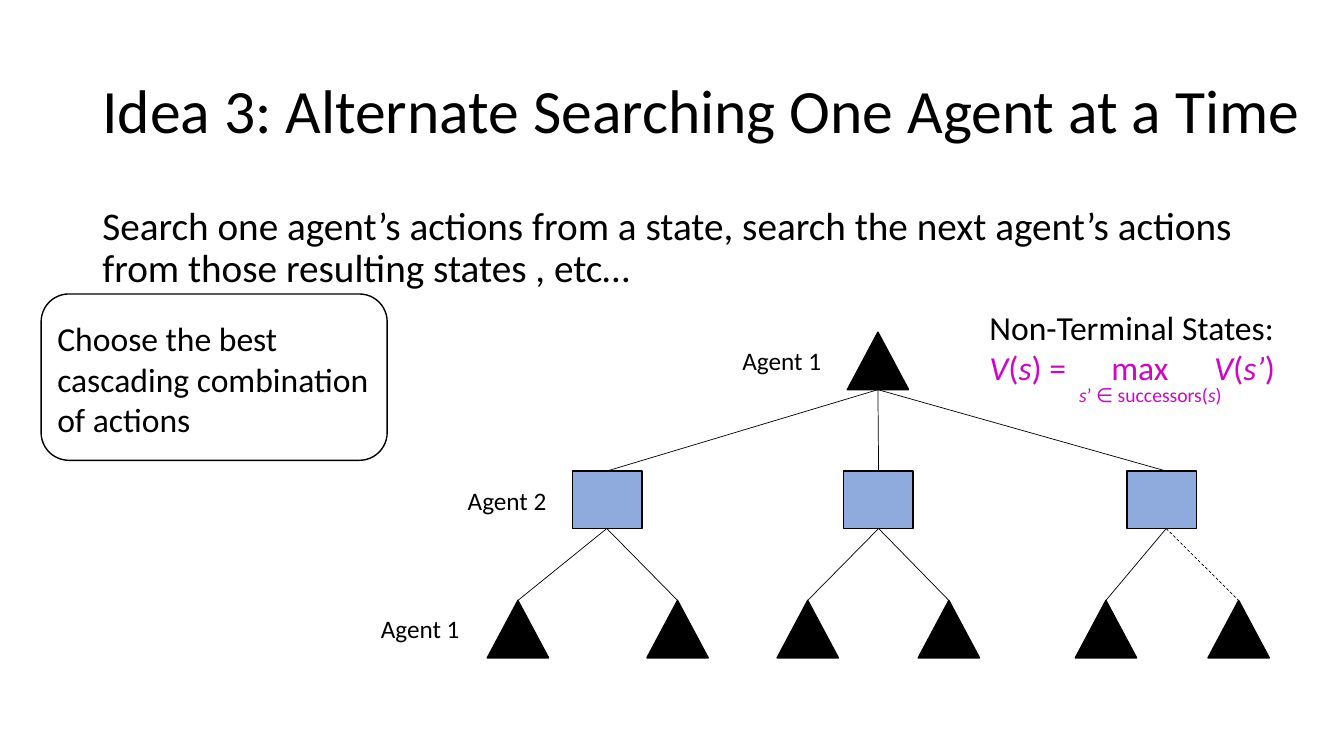
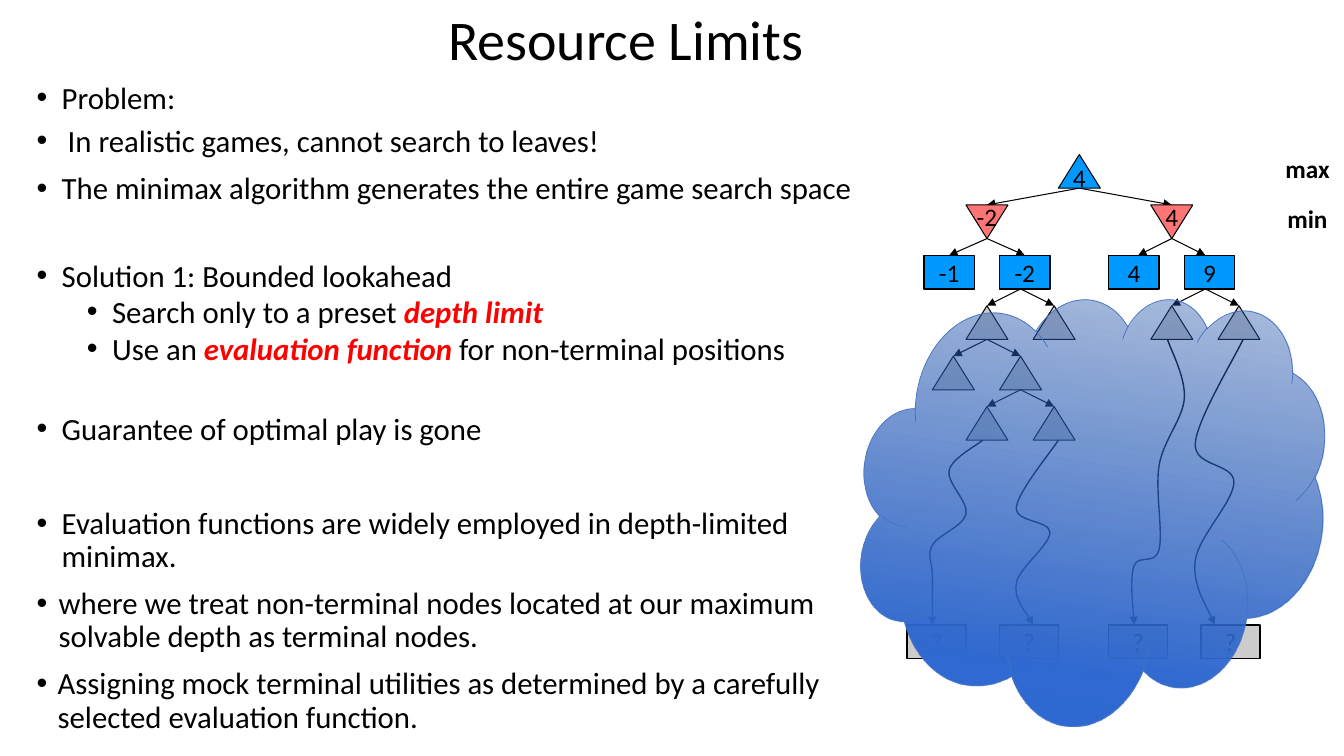
from lxml import etree
from pptx import Presentation
from pptx import util as u
from pptx.dml.color import RGBColor
from pptx.enum import dml, shapes, text
from pptx.oxml import parse_xml
from pptx.oxml.ns import nsdecls, qn

SLIDE_WIDTH, SLIDE_HEIGHT = u.Inches(13.333), u.Inches(7.5)
COLUMNS, ROWS = 160, 90
FONT = "Calibri"
COLORS = {
    "ink": "000000", "formula": "D303CA", "emphasis": "FF0000",
    "agent": "8FAADC", "max": "0099FF", "min": "FF7575", "unknown": "CCCCCC",
    "cloud_line": "4472C4", "cloud_top": "2451A1",
    "cloud_low": "2F69D1", "cloud_base": "2C69D5",
}
SHAPE = shapes.MSO_SHAPE
LEFT, CENTER = text.PP_ALIGN.LEFT, text.PP_ALIGN.CENTER
TOP, MIDDLE = text.MSO_ANCHOR.TOP, text.MSO_ANCHOR.MIDDLE


def across(columns):
    return u.Emu(int(SLIDE_WIDTH * columns / COLUMNS))


def down(rows):
    return u.Emu(int(SLIDE_HEIGHT * rows / ROWS))


def place(left, top, width, height):
    return across(left), down(top), across(width), down(height)


def rgb(name):
    return RGBColor.from_string(COLORS[name])


def set_frame(shape, anchor=TOP, wrap=True, insets=(0.1, 0.05, 0.1, 0.05)):
    frame = shape.text_frame
    frame.word_wrap, frame.vertical_anchor = wrap, anchor
    (frame.margin_left, frame.margin_top,
     frame.margin_right, frame.margin_bottom) = map(u.Inches, insets)
    return frame


def write(paragraph, words, size, color="ink", align=LEFT, spacing=None,
          bold=False, emphasis=None):
    for index, part in enumerate(words.split("*")):
        if not part:
            continue
        run = paragraph.add_run()
        run.text = part
        if index % 2:
            run.font.italic = True
            if emphasis:
                run.font.bold = True
                run.font.color.rgb = rgb(emphasis)
    paragraph.alignment = align
    if spacing:
        paragraph.line_spacing = spacing
    font = paragraph.font
    font.name, font.size, font.bold = FONT, u.Pt(size), bold
    font.color.rgb = rgb(color)


def add_text(slide, box, words, size, anchor=TOP, wrap=True, **style):
    shape = slide.shapes.add_textbox(*place(*box))
    frame = set_frame(shape, anchor, wrap)
    write(frame.paragraphs[0], words, size, **style)
    return frame


def add_title(slide, box, words, size, align=LEFT):
    add_text(slide, box, words, size, anchor=MIDDLE, align=align, spacing=0.9)


def add_tabs(paragraph, *stops):
    tabs = etree.SubElement(paragraph._p.get_or_add_pPr(), qn("a:tabLst"))
    for stop in stops:
        etree.SubElement(tabs, qn("a:tab"), pos=str(u.Inches(stop)), algn="l")


def add_bullet(paragraph, level, hang):
    properties = paragraph._p.get_or_add_pPr()
    properties.set("marL", str(u.Inches(level * 0.5 + hang)))
    properties.set("indent", str(-u.Inches(hang)))
    etree.SubElement(properties, qn("a:buFont"), typeface="Arial")
    etree.SubElement(properties, qn("a:buChar"), char="•")
    paragraph.level = level


def add_figure(slide, kind, box, fill=None, line="ink", weight=1.0):
    shape = slide.shapes.add_shape(kind, *place(*box))
    shape.shadow.inherit = False
    if fill:
        shape.fill.solid()
        shape.fill.fore_color.rgb = rgb(fill)
    else:
        shape.fill.background()
    shape.line.color.rgb = rgb(line)
    shape.line.width = u.Pt(weight)
    return shape


def add_node(slide, kind, center, top, size, fill, label=None, weight=1.0, drop=0):
    width, height = size
    shape = add_figure(slide, kind, (center - width / 2, top, width, height), fill, weight=weight)
    if label:
        frame = set_frame(shape, MIDDLE, False, (0, max(drop, 0), 0, max(-drop, 0)))
        write(frame.paragraphs[0], label, 18, align=CENTER)


def add_arrowhead(shape):
    etree.SubElement(shape.line._get_or_add_ln(), qn("a:tailEnd"), type="triangle")


def add_edge(slide, start, end, weight, dashed=False, arrow=False):
    (x1, y1), (x2, y2) = start, end
    edge = slide.shapes.add_connector(
        shapes.MSO_CONNECTOR.STRAIGHT, across(x1), down(y1), across(x2), down(y2))
    etree.SubElement(edge._element.spPr, qn("a:effectLst"))
    edge.line.color.rgb = rgb("ink")
    edge.line.width = u.Pt(weight)
    if dashed:
        edge.line.dash_style = dml.MSO_LINE.DASH
    if arrow:
        add_arrowhead(edge)


def bend_segments(curve):
    geometry = curve._element.spPr
    knots = [(int(point.get("x")), int(point.get("y"))) for point in geometry.iter(qn("a:pt"))]
    padded = [knots[0], *knots, knots[-1]]
    segments = list(geometry.iter(qn("a:lnTo")))
    for segment, before, start, end, after in zip(
            segments, padded, padded[1:], padded[2:], padded[3:]):
        leave = [s + (e - b) / 6 for b, s, e in zip(before, start, end)]
        arrive = [e - (a - s) / 6 for s, e, a in zip(start, end, after)]
        bend = etree.Element(qn("a:cubicBezTo"))
        for x, y in (leave, arrive, end):
            etree.SubElement(bend, qn("a:pt"), x=str(round(x)), y=str(round(y)))
        segment.getparent().replace(segment, bend)


def add_curve(slide, knots):
    points = [(across(x), down(y)) for x, y in knots]
    builder = slide.shapes.build_freeform(*points[0])
    builder.add_line_segments(points[1:], close=False)
    curve = builder.convert_to_shape()
    bend_segments(curve)
    curve.shadow.inherit = False
    curve.fill.background()
    curve.line.color.rgb = rgb("ink")
    curve.line.width = u.Pt(1)
    add_arrowhead(curve)


def add_cloud(slide, box, rotation):
    cloud = add_figure(slide, SHAPE.CLOUD, box, line="cloud_line", weight=0.5)
    cloud.rotation = rotation
    stops = "".join(
        f'<a:gs pos="{position * 1000}"><a:srgbClr val="{COLORS[name]}">'
        f'<a:alpha val="{opacity * 1000}"/></a:srgbClr></a:gs>'
        for position, name, opacity in (
            (0, "cloud_top", 30), (80, "cloud_low", 100), (100, "cloud_base", 100)))
    gradient = parse_xml(
        f'<a:gradFill {nsdecls("a")} rotWithShape="1"><a:gsLst>{stops}</a:gsLst>'
        '<a:lin ang="5400000" scaled="0"/></a:gradFill>')
    properties = cloud._element.spPr
    properties.replace(properties.find(qn("a:noFill")), gradient)


def add_agent_tree(slide):
    triangle, square = (7.3, 6.84), (8.3, 6.84)
    root, root_top, agent_top, leaf_top = 104.52, 39.55, 56.08, 71.48
    branches = [(72.3, 72.24, (61.66, 80.66)), (104.55, 104.6, (96.16, 112.96)),
                (138.3, 138.84, (131.66, 147.46))]
    last_leaf = branches[-1][-1][-1]
    add_node(slide, SHAPE.ISOSCELES_TRIANGLE, root, root_top, triangle, "ink")
    for agent, joint, leaves in branches:
        add_edge(slide, (root, root_top + triangle[1]), (joint, agent_top), 0.5)
        add_node(slide, SHAPE.RECTANGLE, agent, agent_top, square, "agent")
        for leaf in leaves:
            add_edge(slide, (joint, agent_top + square[1]), (leaf, leaf_top), 0.5,
                     dashed=leaf == last_leaf)
            add_node(slide, SHAPE.ISOSCELES_TRIANGLE, leaf, leaf_top, triangle, "ink")
    for left, top, agent in ((87.2, 40.52, 1), (54.5, 57.2, 2), (44.15, 72.4, 1)):
        add_text(slide, (left, top, 11.9, 4.8), f"Agent {agent}", 18, wrap=False)


def add_formula(slide):
    frame = add_text(slide, (116.6, 35.95, 37, 10.9), "Non-Terminal States:", 24)
    value = frame.add_paragraph()
    add_tabs(value, 1.21, 2.23)
    write(value, "*V*(*s*) =\tmax\t*V*(*s’*)", 24, color="formula")
    add_text(slide, (127.3, 45, 22.3, 4.1), "*s*’ ∈ successors(*s*)", 14, color="formula")


def add_bullets(slide, box, items):
    frame = set_frame(slide.shapes.add_textbox(*place(*box)))
    for index, (words, level, before, spacing, hang) in enumerate(items):
        paragraph = frame.add_paragraph() if index else frame.paragraphs[0]
        add_bullet(paragraph, level, hang)
        paragraph.space_before = u.Pt(before)
        write(paragraph, words, 22, spacing=spacing, emphasis="emphasis")


def add_game_tree(slide):
    root, first_row, pitch, size = 128.5, 18.4, 6, (5, 4)

    def row_top(row):
        return first_row + row * pitch

    minima = {root - 11: "-2", root + 11: "4"}
    values = {113: "-1", 122: "-2", 135: "4", 144: "9"}
    edges = [
        (root, 0, minima),
        (117.5, 1, (113, 122)), (139.5, 1, (135.5, 143.5)),
        (121.5, 2, (117.5, 125.5)), (143.5, 2, (139.5, 147.5)),
        (117.5, 3, (113.5, 121.5)), (121.5, 4, (117.5, 125.5)),
    ]
    for parent, row, children in edges:
        for child in children:
            add_edge(slide, (parent, row_top(row) + size[1]), (child, row_top(row + 1)),
                     0.75, arrow=True)
            if row >= 2:
                add_node(slide, SHAPE.ISOSCELES_TRIANGLE, child, row_top(row + 1), size,
                         "unknown", weight=0.75)
    add_node(slide, SHAPE.ISOSCELES_TRIANGLE, root, row_top(0), size, "max", "4", 0.75, -0.04)
    for center, label in minima.items():
        add_node(slide, SHAPE.FLOWCHART_MERGE, center, row_top(1), size, "min", label, 0.75, 0.06)
    for center, label in values.items():
        add_node(slide, SHAPE.RECTANGLE, center, row_top(2), (6, 4), "max", label)
    for center in (111.5, 122.5, 135.5, 146.5):
        add_node(slide, SHAPE.RECTANGLE, center, 74.4, (7, 4), "unknown", "?")
    for row, label in enumerate(("max", "min")):
        add_text(slide, (151.3, 17.6 + row * pitch, 8.7, 4.8), label, 18,
                 anchor=MIDDLE, align=CENTER, bold=True)
    for knots in (
        [(117, 52.4), (113, 56), (115, 61.2), (111, 64.9), (111, 68.5), (111, 74.4)],
        [(126, 52.4), (121, 60.4), (125, 63.4), (121, 69.4), (123, 74.4)],
        [(148, 40.4), (142.3, 52.8), (146.9, 57.4), (142.3, 66.7), (144.6, 74.4)],
        [(139, 40.4), (141, 47.4), (138, 55.4), (138, 65.4), (135, 67.4), (135, 74.4)],
    ):
        add_curve(slide, knots)
    add_cloud(slide, (102.5, 34.4, 55, 52), 8.4)


def build_alternate_search(slide):
    add_title(slide, (11, 4.8, 149, 17.4), "Idea 3: Alternate Searching One Agent at a Time", 44)
    add_text(slide, (11, 24, 138, 57.1),
             "Search one agent’s actions from a state, search the next agent’s actions "
             "from those resulting states , etc…", 28, spacing=0.9)
    add_agent_tree(slide)
    add_formula(slide)
    callout = add_figure(slide, SHAPE.ROUNDED_RECTANGLE, (4.9, 35, 41.2, 19.8))
    frame = set_frame(callout, MIDDLE, insets=(0.08, 0.08, 0, 0.05))
    write(frame.paragraphs[0], "Choose the best cascading combination of actions", 24)


def build_resource_limits(slide):
    add_title(slide, (5.5, -0.1, 138, 10.4), "Resource Limits", 40, CENTER)
    add_bullets(slide, (3.17, 9.6, 101.9, 73.7), [
        ("Problem:", 0, 0, 0.8, 0.25),
        ("In realistic games, cannot search to leaves!", 0, 10, 0.8, 0.31),
        ("The minimax algorithm generates the entire game search space", 0, 10, 0.9, 0.25),
        ("Solution 1: Bounded lookahead", 0, 41, 0.8, 0.25),
        ("Search only to a preset *depth limit*", 1, 5, 0.8, 0.25),
        ("Use an *evaluation function *for non-terminal positions", 1, 5, 0.8, 0.25),
        ("Guarantee of optimal play is gone", 0, 36.3, 0.8, 0.25),
        ("Evaluation functions are widely employed in depth-limited minimax.", 0, 44, 0.9, 0.25),
        ("where we treat non-terminal nodes located at our maximum "
         "solvable depth as terminal nodes.", 0, 9.5, 0.9, 0.22),
        ("Assigning mock terminal utilities as determined by a carefully "
         "selected evaluation function.", 0, 10, 0.9, 0.21),
    ])
    add_game_tree(slide)


def main():
    presentation = Presentation()
    presentation.slide_width, presentation.slide_height = SLIDE_WIDTH, SLIDE_HEIGHT
    blank = presentation.slide_layouts[6]
    for build in (build_alternate_search, build_resource_limits):
        build(presentation.slides.add_slide(blank))
    presentation.save("out.pptx")


if __name__ == "__main__":
    main()
